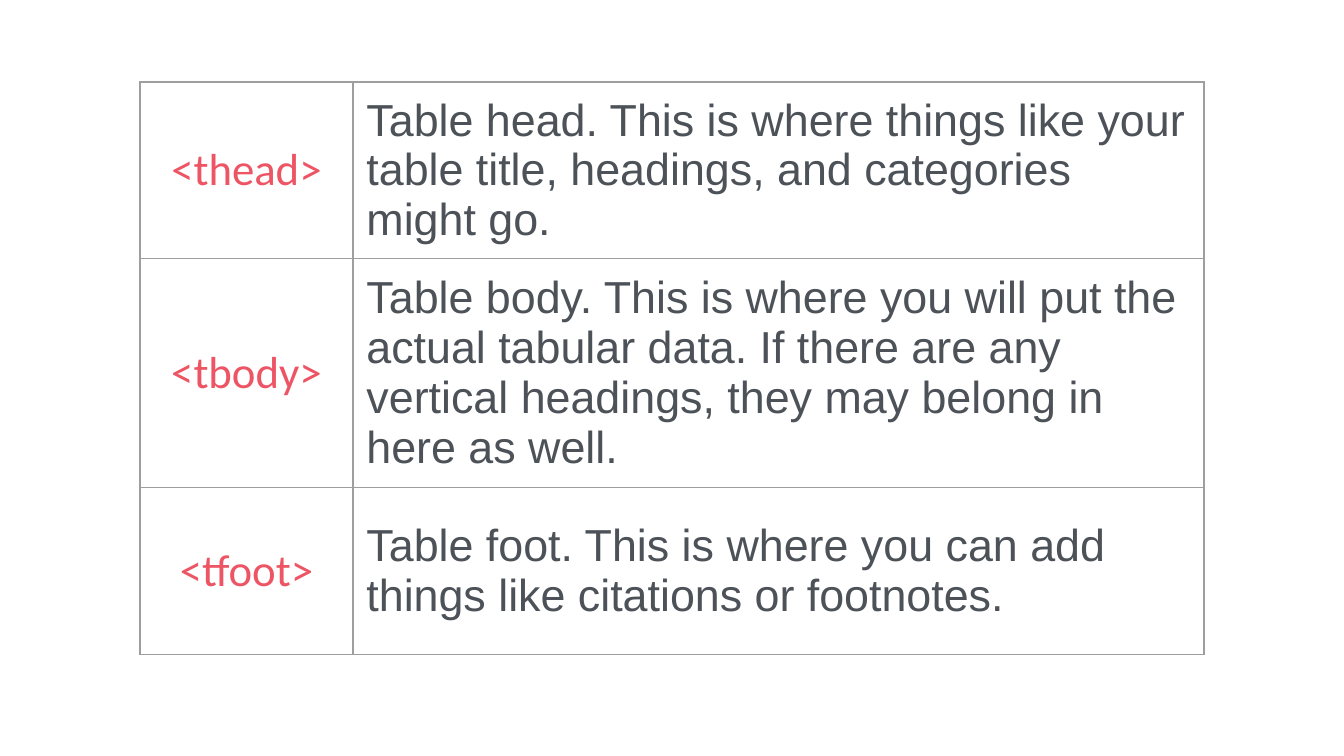
import pptx
import pptx.dml.color
import pptx.enum.text
import pptx.oxml.ns
import pptx.util
from lxml import etree

SCALE = 914400 / 134.4
ROWS = [
    ("<thead>", "Table head. This is where things like your table title, "
                "headings, and categories might go."),
    ("<tbody>", "Table body. This is where you will put the actual tabular "
                "data. If there are any vertical headings, they may belong "
                "in here as well. "),
    ("<tfoot>", "Table foot. This is where you can add things like "
                "citations or footnotes."),
]


def px(num):
    """Turn picture pixels into EMU."""
    return pptx.util.Emu(round(num * SCALE))


def color(code):
    """Turn a hex string into a colour."""
    return pptx.dml.color.RGBColor.from_string(code)


class Deck:
    """Holds the style and the current slide."""

    size = 24
    pad = 0.1
    rule = "9E9E9E"
    align = pptx.enum.text.PP_ALIGN
    looks = [("Calibri", "ED5565", align.CENTER),
             ("Arial", "4C5258", align.LEFT)]

    def __init__(self, wide, high):
        """Start a file with one blank slide."""
        self.file = pptx.Presentation()
        self.file.slide_width, self.file.slide_height = px(wide), px(high)
        self.slide = self.file.slides.add_slide(self.file.slide_layouts[6])

    def border(self, cell):
        """Draw a thin line on all four sides of a cell."""
        props = cell._tc.get_or_add_tcPr()
        name = pptx.oxml.ns.qn
        for side in "LRTB":
            line = etree.SubElement(props, name("a:ln" + side),
                                    w=str(pptx.util.Pt(0.75)))
            fill = etree.SubElement(line, name("a:solidFill"))
            etree.SubElement(fill, name("a:srgbClr"), val=self.rule)

    def cell(self, cell, text, look):
        """Fill one cell with styled text."""
        face, tint, align = look
        self.border(cell)
        cell.fill.background()
        cell.vertical_anchor = pptx.enum.text.MSO_ANCHOR.MIDDLE
        for side in ("left", "right", "top", "bottom"):
            setattr(cell, "margin_" + side, pptx.util.Inches(self.pad))
        para = cell.text_frame.paragraphs[0]
        para.alignment = align
        run = para.add_run()
        run.text = text
        run.font.name = face
        run.font.size = pptx.util.Pt(self.size)
        run.font.color.rgb = color(tint)

    def table(self, left, top, cols, highs, rows):
        """Add a table with one look per column."""
        frame = self.slide.shapes.add_table(
            len(rows), len(cols), px(left), px(top),
            px(sum(cols)), px(sum(highs)))
        grid = frame.table
        grid.first_row = grid.horz_banding = False
        for col, wide in zip(grid.columns, cols):
            col.width = px(wide)
        for row, high, texts in zip(grid.rows, highs, rows):
            row.height = px(high)
            for cell, text, look in zip(row.cells, texts, self.looks):
                self.cell(cell, text, look)


deck = Deck(1344, 756)
deck.table(140, 82, [213, 851], [167, 229, 167], ROWS)
deck.file.save("out.pptx")
